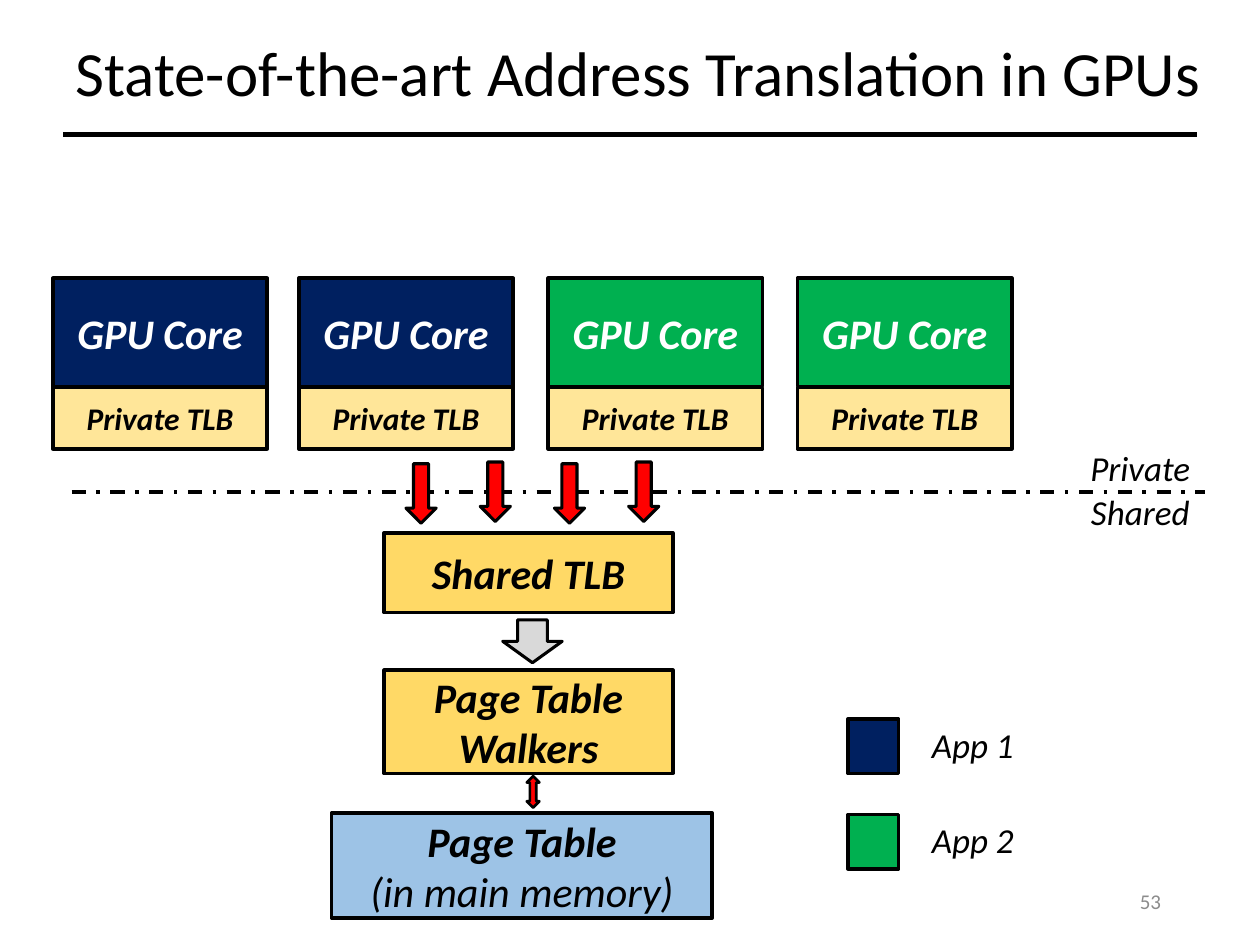
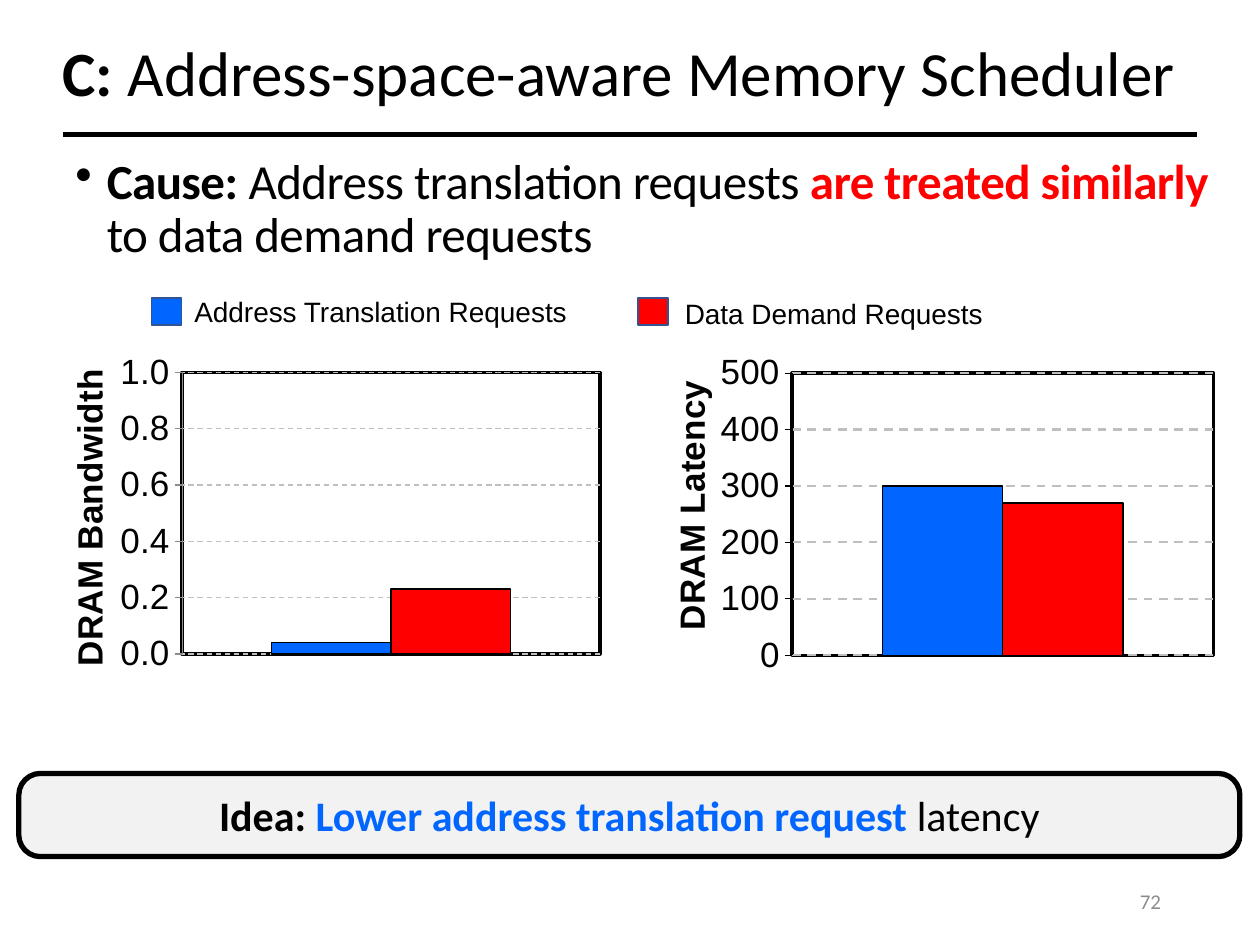
from lxml import etree
from pptx import Presentation
from pptx.chart.data import CategoryChartData
from pptx.dml.color import RGBColor
from pptx.enum.chart import XL_CHART_TYPE, XL_TICK_MARK
from pptx.enum.dml import MSO_LINE
from pptx.enum.shapes import MSO_CONNECTOR, MSO_SHAPE
from pptx.enum.text import MSO_ANCHOR, PP_ALIGN
from pptx.oxml import parse_xml
from pptx.oxml.ns import nsdecls, qn
from pptx.util import Pt

RECT, ROUND = MSO_SHAPE.RECTANGLE, MSO_SHAPE.ROUNDED_RECTANGLE
DOWN, UP_DOWN = MSO_SHAPE.DOWN_ARROW, MSO_SHAPE.UP_DOWN_ARROW
LEFT, CENTER, RIGHT = PP_ALIGN.LEFT, PP_ALIGN.CENTER, PP_ALIGN.RIGHT
TOP, MIDDLE = MSO_ANCHOR.TOP, MSO_ANCHOR.MIDDLE
DASH, DASH_DOT = MSO_LINE.DASH, MSO_LINE.DASH_DOT
COLUMNS, TICK_OUT = XL_CHART_TYPE.COLUMN_CLUSTERED, XL_TICK_MARK.OUTSIDE

BLACK, WHITE, GRAY = "000000", "FFFFFF", "8C8C8C"
NAVY, GREEN, RED, BLUE = "002060", "00B050", "FF0000", "0066FF"
CREAM, GOLD, SKY = "FFE699", "FFD966", "9DC3E6"
SILVER, PALE, GRID, KEY_EDGE = "D9D9D9", "F2F2F2", "BFBFBF", "325491"


def color(value):
    return RGBColor.from_string(value)


def set_font(font, size, ink=BLACK, bold=False, italic=False, name="Calibri"):
    font.name, font.size = name, Pt(size)
    font.bold, font.italic = bold, italic
    font.color.rgb = color(ink)


def set_line(line, ink, width, dash=None):
    line.color.rgb = color(ink)
    line.width = Pt(width)
    if dash:
        line.dash_style = dash


def add_span(para, text, spacing=None, **style):
    span = para.add_run()
    span.text = text
    set_font(span.font, **style)
    if spacing:
        span.font._element.set("spc", str(int(spacing * 100)))


def write(box, *paragraphs, align=CENTER, anchor=MIDDLE, leading=None,
          bullet=None, **style):
    frame = box.text_frame
    frame.word_wrap = True
    frame.vertical_anchor = anchor
    for index, spans in enumerate(paragraphs):
        para = frame.add_paragraph() if index else frame.paragraphs[0]
        para.alignment = align
        if bullet:
            properties = para._p.get_or_add_pPr()
            properties.set("marL", str(Pt(18)))
            properties.set("indent", str(-Pt(18)))
            etree.SubElement(properties, qn("a:buChar")).set("char", bullet)
        if leading:
            para.line_spacing = leading
        if isinstance(spans, str):
            spans = [(spans, {})]
        for text, changes in spans:
            add_span(para, text, **{**style, **changes})


def add_text(page, place, *paragraphs, **style):
    box = page.shapes.add_textbox(*map(Pt, place))
    write(box, *paragraphs, **style)


def add_block(page, kind, place, fill, edge=BLACK, width=2):
    block = page.shapes.add_shape(kind, *map(Pt, place))
    block.shadow.inherit = False
    block.fill.solid()
    block.fill.fore_color.rgb = color(fill)
    set_line(block.line, edge, width)
    return block


def add_rule(page, left, right, top, width, dash=None):
    rule = page.shapes.add_connector(
        MSO_CONNECTOR.STRAIGHT, Pt(left), Pt(top), Pt(right), Pt(top))
    set_line(rule.line, BLACK, width, dash)
    etree.SubElement(rule._element.spPr, qn("a:effectLst"))


def add_page(deck, title, title_left, number):
    page = deck.slides.add_slide(deck.slide_layouts[6])
    add_text(page, (title_left, 10, 720 - title_left, 67), title,
             align=LEFT, leading=0.9, size=36)
    add_rule(page, 36, 684, 77, 3)
    add_text(page, (508.5, 500.5, 162, 28.75), number,
             align=RIGHT, size=12, ink=GRAY)
    return page


def set_layout(parent, index, x, y, size=None):
    for old in parent.findall(qn("c:layout")):
        parent.remove(old)
    values = [("xMode", "edge"), ("yMode", "edge"), ("x", x), ("y", y)]
    if size:
        values.insert(0, ("layoutTarget", "inner"))
        values += [("w", size[0]), ("h", size[1])]
    layout = parse_xml(f"<c:layout {nsdecls('c')}><c:manualLayout/></c:layout>")
    for tag, value in values:
        etree.SubElement(layout[0], qn("c:" + tag)).set("val", str(value))
    parent.insert(index, layout)


def add_bars(page, place, title, values, top, step, number_format,
             plot, title_at, axis_ink, grid_width):
    data = CategoryChartData()
    data.categories = ["1"]
    for index, value in enumerate(values, 1):
        data.add_series(f"Series {index}", [value])
    chart = page.shapes.add_chart(COLUMNS, *map(Pt, place), data).chart
    chart.has_title = chart.has_legend = False
    set_font(chart.font, 10)
    bars = chart.plots[0]
    bars.gap_width = 150
    bars.vary_by_categories = False
    for series, fill in zip(bars.series, (BLUE, RED)):
        series.format.fill.solid()
        series.format.fill.fore_color.rgb = color(fill)
        set_line(series.format.line, BLACK, 0.75)
    chart.category_axis.visible = False
    axis = chart.value_axis
    axis.minimum_scale, axis.maximum_scale, axis.major_unit = 0, top, step
    axis.major_tick_mark = TICK_OUT
    axis.tick_labels.number_format = number_format
    axis.tick_labels.number_format_is_linked = False
    set_font(axis.tick_labels.font, 20, name="Arial")
    set_line(axis.format.line, axis_ink, 0.75)
    set_line(axis.major_gridlines.format.line, GRID, grid_width, DASH)
    frame = axis.axis_title.text_frame
    add_span(frame.paragraphs[0], title, size=20, bold=True, name="Arial")
    heading = chart.element.xpath(".//c:valAx/c:title")[0]
    heading.xpath(".//a:bodyPr")[0].set("rot", "-5400000")
    set_layout(heading, 1, *title_at)
    area = chart.element.xpath(".//c:plotArea")[0]
    set_layout(area, 0, *plot[:2], size=plot[2:])
    area.append(parse_xml(
        f'<c:spPr {nsdecls("c", "a")}><a:noFill/><a:ln w="{Pt(2)}"><a:solidFill>'
        f'<a:srgbClr val="{BLACK}"/></a:solidFill></a:ln></c:spPr>'))


def build_translation_page(deck):
    page = add_page(deck, "State-of-the-art Address Translation in GPUs", 36, "53")
    strong = dict(size=24, bold=True, italic=True)
    for left, app in zip((30.25, 170.75, 313.25, 455.75),
                         (NAVY, NAVY, GREEN, GREEN)):
        core = add_block(page, RECT, (left, 159, 122.5, 62), app)
        write(core, "GPU Core", **strong, ink=WHITE)
        private = add_block(page, RECT, (left, 221.5, 122.5, 35), CREAM)
        write(private, "Private TLB", **{**strong, "size": 18})
    shared = add_block(page, RECT, (219.5, 304.5, 165, 45.5), GOLD)
    write(shared, "Shared TLB", **strong)
    walkers = add_block(page, RECT, (219.5, 383, 165, 59), GOLD)
    write(walkers, "Page Table Walkers", **strong)
    table = add_block(page, RECT, (189.5, 464.5, 217.5, 60), SKY)
    write(table, "Page Table", [("(in main memory)", {"bold": False})], **strong)

    add_rule(page, 41, 688.5, 281, 2, DASH_DOT)
    for index in range(4):
        add_block(page, DOWN, (232 + 42.4 * index, 265 - index % 2, 17.25, 34),
                  RED, width=1.75)
    add_block(page, DOWN, (287.25, 354.25, 34, 24.5), SILVER, width=1.75)
    add_block(page, UP_DOWN, (301, 443.5, 7.25, 18), RED, width=1.5)

    label = dict(size=20, italic=True)
    for top, text in ((244, "Private"), (269.5, "Shared")):
        add_text(page, (588.25, top, 126.75, 46), text, **label)
    for top, fill, text in ((411, NAVY, "App 1"), (465.5, GREEN, "App 2")):
        add_block(page, RECT, (484.5, top, 29, 31), fill)
        add_text(page, (492.5, top - 8.75, 126.75, 46), text, **label)


def build_scheduler_page(deck):
    title = [("C: ", {"bold": True}), ("Address-space-aware Memory Scheduler", {})]
    page = add_page(deck, title, 28.75, "72")
    cause = [("Cause: ", {"bold": True}),
             ("Address translation requests", {}),
             (" are treated similarly ", {"bold": True, "ink": RED}),
             ("to data demand requests", {})]
    add_text(page, (36, 86.5, 684, 72), cause, align=LEFT, anchor=TOP,
             leading=0.9, bullet="•", size=28, spacing=-0.3)
    idea = add_block(page, ROUND, (10.75, 442, 697.75, 47.5), PALE, width=3)
    idea.adjustments[0] = 0.26
    write(idea, [("Idea: ", {}),
                 ("Lower address translation request ", {"ink": BLUE}),
                 ("latency", {"bold": False})], size=24, bold=True)

    add_bars(page, (360, 185.75, 342, 215.25), "DRAM Latency", (300, 270),
             500, 100, "0", (0.271, 0.128, 0.704, 0.749), (0.055, 0.13),
             BLACK, 1.25)
    add_bars(page, (10.75, 173.5, 342, 226), "DRAM Bandwidth", (0.04, 0.23),
             1, 0.2, "#,##0.0", (0.273, 0.174, 0.698, 0.712), (0.07, 0.15),
             GRAY, 0.75)
    for key_left, text_left, top, fill, text in (
            (86.5, 93, 165, BLUE, "Address Translation Requests"),
            (364.5, 352, 165.75, RED, "Data Demand Requests")):
        add_block(page, RECT, (key_left, 170.5, 17.25, 15.25), fill, KEY_EDGE, 1)
        add_text(page, (text_left, top, 249, 26.5), text, anchor=TOP,
                 size=16, name="Arial")


def main():
    deck = Presentation()
    deck.slide_width, deck.slide_height = Pt(720), Pt(540)
    build_translation_page(deck)
    build_scheduler_page(deck)
    deck.save("out.pptx")


if __name__ == "__main__":
    main()
